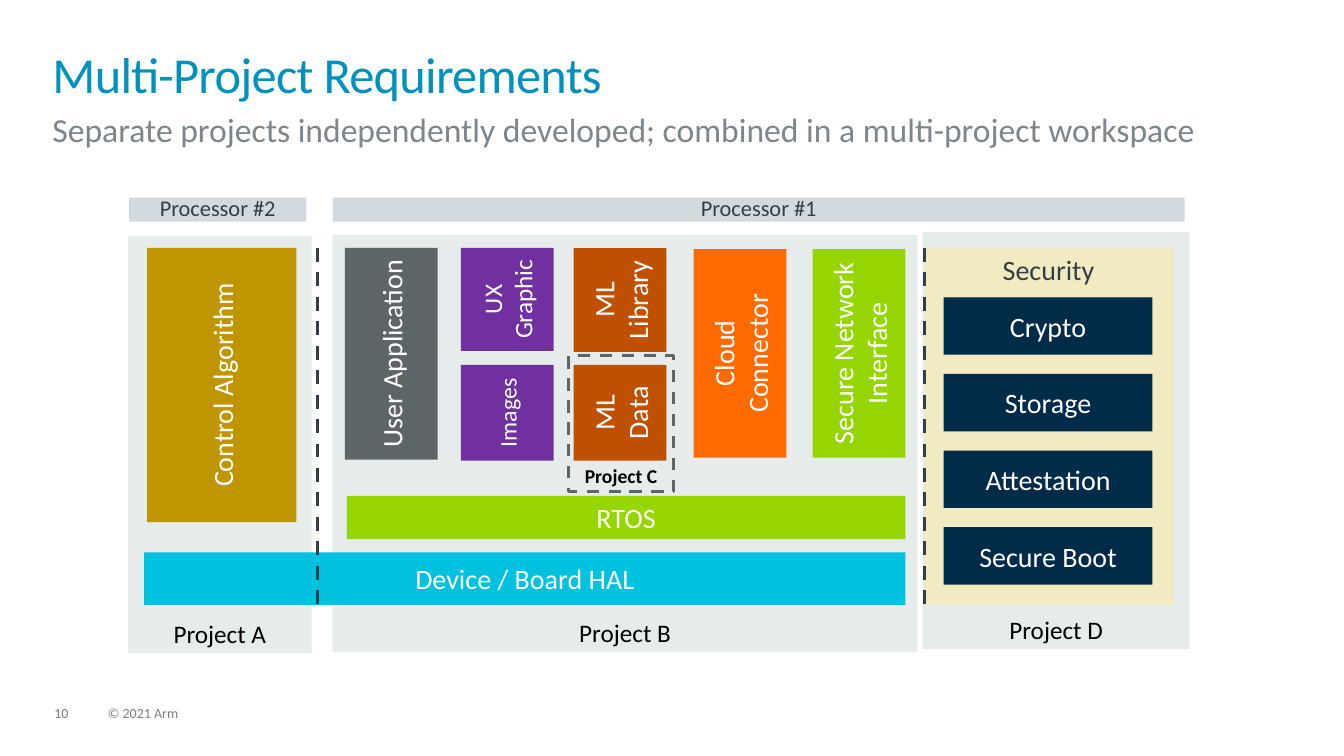
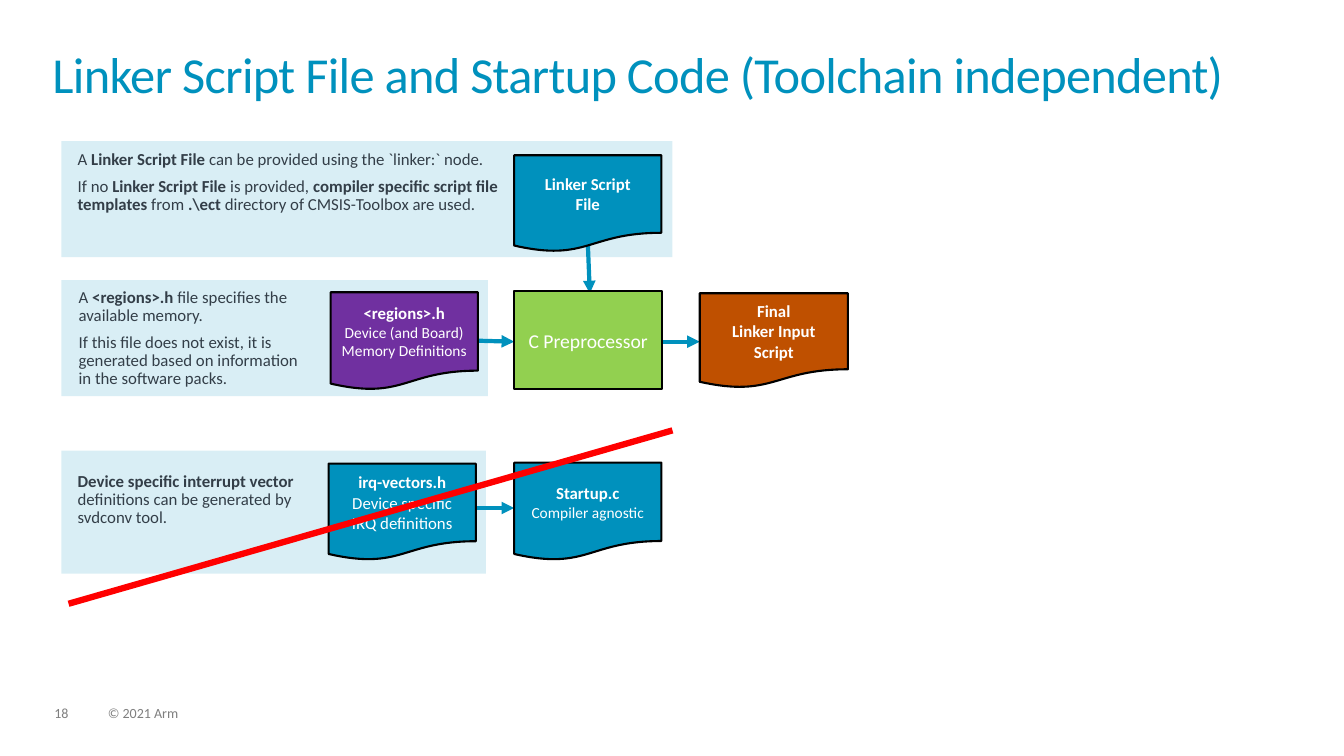
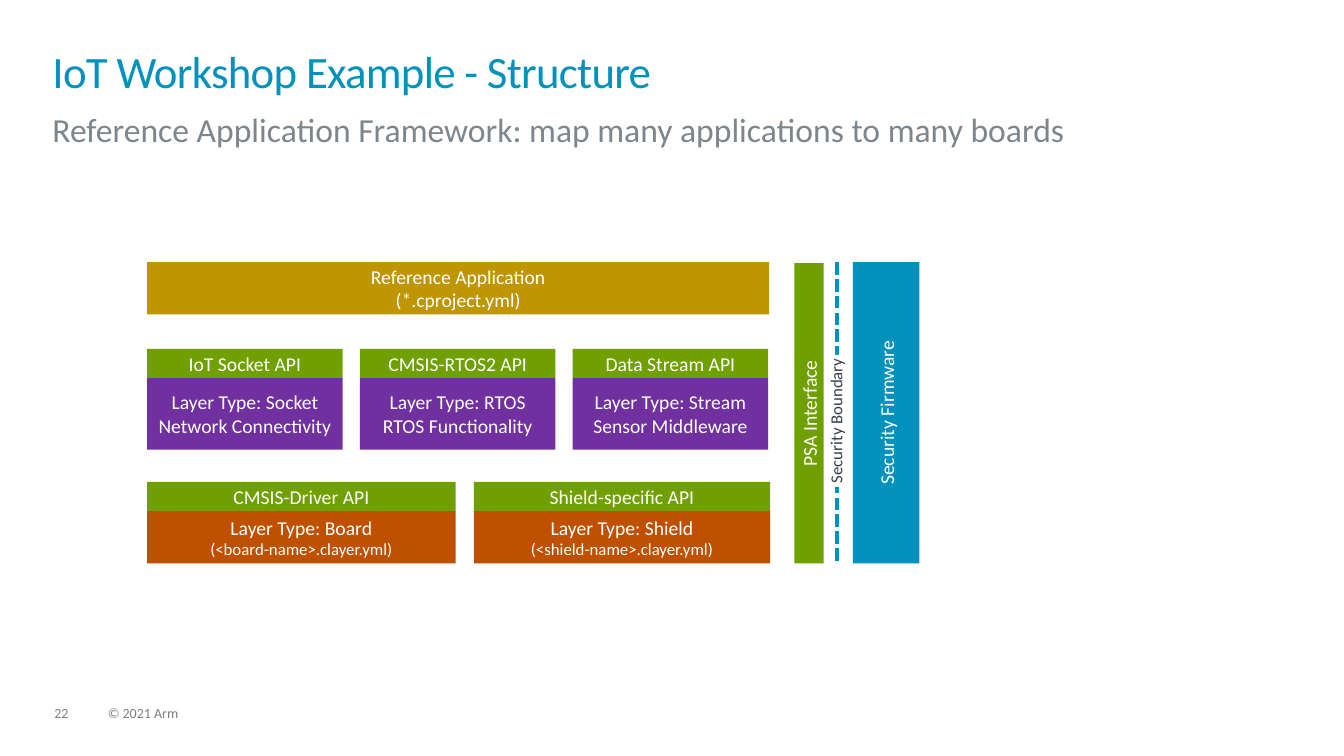
from lxml import etree
from pptx import Presentation
from pptx import util as u
from pptx.dml.color import RGBColor
from pptx.enum import dml, shapes, text
from pptx.oxml.ns import qn

FONT = "Calibri"
WHITE = RGBColor(0xFF, 0xFF, 0xFF)
BLACK = RGBColor(0x00, 0x00, 0x00)
BLUE = RGBColor(0x00, 0x91, 0xBD)
CYAN = RGBColor(0x00, 0xC1, 0xDE)
NAVY = RGBColor(0x00, 0x2B, 0x49)
SLATE = RGBColor(0x33, 0x3E, 0x48)
GREY = RGBColor(0x5D, 0x65, 0x69)
SUBTITLE_GREY = RGBColor(0x7D, 0x86, 0x8C)
FOOTER_GREY = RGBColor(0x7F, 0x7F, 0x7F)
PANEL = RGBColor(0xE5, 0xEC, 0xEB)
BAND = RGBColor(0xD2, 0xD9, 0xDF)
SAND = RGBColor(0xFF, 0xE9, 0x99)
GOLD = RGBColor(0xBF, 0x95, 0x00)
ORANGE = RGBColor(0xFF, 0x6B, 0x00)
RUST = RGBColor(0xBF, 0x50, 0x00)
PURPLE = RGBColor(0x70, 0x30, 0xA0)
LIME = RGBColor(0x95, 0xD6, 0x00)
GREEN = RGBColor(0x92, 0xD0, 0x50)
OLIVE = RGBColor(0x70, 0xA0, 0x00)
RED = RGBColor(0xFF, 0x00, 0x00)

RECTANGLE = shapes.MSO_SHAPE.RECTANGLE
DOCUMENT = shapes.MSO_SHAPE.FLOWCHART_DOCUMENT
TOP = text.MSO_ANCHOR.TOP
MIDDLE = text.MSO_ANCHOR.MIDDLE
BOTTOM = text.MSO_ANCHOR.BOTTOM
LEFT = text.PP_ALIGN.LEFT
CENTER = text.PP_ALIGN.CENTER
DASH = dml.MSO_LINE.DASH
SHORT_DASH = dml.MSO_LINE.SQUARE_DOT

LABEL = dict(anchor=TOP, inset=(0, 0), line_spacing=0.9, space_after=6, color=SLATE)


def bold(words):
    """Return a bold run."""
    return words, {"bold": True}


def sized(words, size):
    """Return a run with its own size."""
    return words, {"size": size}


def write(shape, paragraphs, size=12, color=WHITE, bold=False, align=CENTER,
          anchor=MIDDLE, inset=(0.1, 0.05), line_spacing=None, space_after=None,
          tracking=None):
    """Fill a shape with paragraphs, each a string or a tuple of runs."""
    frame = shape.text_frame
    frame.word_wrap = True
    frame.vertical_anchor = anchor
    frame.margin_left = frame.margin_right = u.Inches(inset[0])
    frame.margin_top = frame.margin_bottom = u.Inches(inset[1])
    if isinstance(paragraphs, str):
        paragraphs = [paragraphs]
    for index, runs in enumerate(paragraphs):
        paragraph = frame.paragraphs[0] if index == 0 else frame.add_paragraph()
        paragraph.alignment = align
        if line_spacing:
            paragraph.line_spacing = line_spacing
        if space_after:
            paragraph.space_after = u.Pt(space_after)
        for item in (runs,) if isinstance(runs, str) else runs:
            words, changes = (item, {}) if isinstance(item, str) else item
            for row, line in enumerate(words.split("\n")):
                if row:
                    paragraph.add_line_break()
                if not line:
                    continue
                run = paragraph.add_run()
                run.text = line
                run.font.name = FONT
                run.font.size = u.Pt(changes.get("size", size))
                run.font.bold = changes.get("bold", bold)
                run.font.color.rgb = color
                if tracking:
                    run.font._element.set("spc", str(int(tracking * 100)))


class Deck:
    """Hold the shared style and the current slide."""

    def __init__(self):
        """Start an empty widescreen presentation."""
        self.presentation = Presentation()
        self.presentation.slide_width = u.Inches(13.33)
        self.presentation.slide_height = u.Inches(7.5)
        self.slide = None

    def start(self, number, title, subtitle=None, title_size=36):
        """Add a slide with its title, subtitle and footer."""
        layout = self.presentation.slide_layouts[6]
        self.slide = self.presentation.slides.add_slide(layout)
        self.label(0.52, 0.52, 12.28, 0.56, title, size=title_size, color=BLUE,
                   line_spacing=0.85, space_after=None, tracking=-0.5)
        if subtitle:
            self.label(0.52, 1.08, 12.28, 0.38, subtitle, size=24,
                       color=SUBTITLE_GREY, line_spacing=None, space_after=None)
        for left, width, words in ((0.54, 0.34, str(number)), (1.07, 5.07, "© 2021 Arm")):
            self.label(left, 7.01, width, 0.15, words, size=10, color=FOOTER_GREY)

    def label(self, left, top, width, height, paragraphs, **style):
        """Add a text box without insets."""
        box = self.slide.shapes.add_textbox(*map(u.Inches, (left, top, width, height)))
        write(box, paragraphs, **{**LABEL, "align": LEFT, **style})

    def box(self, left, top, width, height, fill=None, paragraphs=None,
            kind=RECTANGLE, opacity=None, outline=None, outline_width=1.5,
            dash=None, upright=False, **style):
        """Add a shape; upright text reads from bottom to top."""
        if upright:
            shift = (height - width) / 2
            left, top, width, height = left - shift, top + shift, height, width
        shape = self.slide.shapes.add_shape(
            kind, *map(u.Inches, (left, top, width, height)))
        shape.shadow.inherit = False
        shape.rotation = 270 if upright else 0
        if fill is None:
            shape.fill.background()
        else:
            shape.fill.solid()
            shape.fill.fore_color.rgb = fill
        if opacity:
            color = shape._element.spPr.find(qn("a:solidFill")).find(qn("a:srgbClr"))
            etree.SubElement(color, qn("a:alpha")).set("val", str(opacity * 1000))
        if outline is None:
            shape.line.fill.background()
        else:
            shape.line.color.rgb = outline
            shape.line.width = u.Pt(outline_width)
            if dash:
                shape.line.dash_style = dash
        if paragraphs:
            write(shape, paragraphs, **style)

    def document(self, left, top, width, height, fill, paragraphs):
        """Add an outlined document symbol."""
        self.box(left, top, width, height, fill, paragraphs, kind=DOCUMENT, outline=BLACK)

    def line(self, start, end, color=BLUE, width=3, dash=None, arrow=False):
        """Add a straight line, with an arrowhead if asked."""
        connector = self.slide.shapes.add_connector(
            shapes.MSO_CONNECTOR.STRAIGHT, *map(u.Inches, (*start, *end)))
        connector.line.color.rgb = color
        connector.line.width = u.Pt(width)
        if dash:
            connector.line.dash_style = dash
        properties = connector._element.spPr
        if arrow:
            outline = properties.find(qn("a:ln"))
            etree.SubElement(outline, qn("a:tailEnd")).set("type", "triangle")
        etree.SubElement(properties, qn("a:effectLst"))


def multi_project(deck):
    """Build the multi-project diagram."""
    deck.start(10, "Multi-Project Requirements",
               "Separate projects independently developed; combined in a multi-project workspace")
    for left, top, width, name in ((9.15, 2.3, 2.65, "Project D"),
                                   (3.3, 2.33, 5.8, "Project B"),
                                   (1.27, 2.34, 1.82, "Project A")):
        deck.box(left, top, width, 4.14, PANEL, name, size=18, color=BLACK, anchor=BOTTOM)

    deck.box(9.17, 2.46, 2.47, 3.54, SAND, opacity=50)
    deck.label(9.38, 2.54, 2.04, 0.3, "Security", size=20, align=CENTER)
    for row, name in enumerate(("Crypto", "Storage", "Attestation", "Secure Boot")):
        deck.box(9.36, 2.95 + 0.76 * row, 2.07, 0.57, NAVY, name, size=20)

    deck.box(1.43, 5.48, 7.55, 0.52, CYAN, "Device / Board HAL", size=20)
    deck.box(3.44, 4.92, 5.54, 0.43, LIME, "RTOS", size=20)
    for left in (3.15, 9.17):
        deck.line((left, 2.46), (left, 6), SLATE, 2.5, DASH)

    deck.box(1.46, 2.46, 1.48, 2.72, GOLD, "Control Algorithm", upright=True, size=20)
    for left, top, height, fill, paragraphs, size in (
            (3.42, 2.46, 2.1, GREY, "User Application", 20),
            (4.57, 2.46, 1.02, PURPLE, "UX\nGraphic", 18),
            (4.57, 3.62, 0.95, PURPLE, "Images", 17),
            (5.69, 2.46, 1.03, RUST, "ML\nLibrary", 20),
            (5.69, 3.62, 0.95, RUST, "ML\nData", 20),
            (6.88, 2.47, 2.07, ORANGE, ["Cloud", "Connector"], 20),
            (8.06, 2.47, 2.07, LIME, ["Secure Network", "Interface"], 20)):
        deck.box(left, top, 0.92, height, fill, paragraphs, upright=True,
                 size=size, inset=(0.04, 0.05))

    for left, width, name in ((3.3, 8.45, "Processor #1"), (1.28, 1.76, "Processor #2")):
        deck.box(left, 1.96, width, 0.24, BAND, name, size=16, **LABEL)
    deck.box(5.64, 3.53, 1.04, 1.35, None, "Project C", outline=GREY, outline_width=2.25,
             dash=DASH, size=14, color=BLACK, bold=True, anchor=BOTTOM)


def linker_script(deck):
    """Build the linker script and startup code diagram."""
    deck.start(18, "Linker Script File and Startup Code (Toolchain independent)")
    for top, width, height in ((1.4, 6.06, 1.15), (2.78, 4.23, 1.15), (4.47, 4.21, 1.22)):
        deck.box(0.61, top, width, height, BLUE, opacity=15)

    deck.label(0.77, 1.5, 4.28, 0.63, [
        ("A ", bold("Linker Script File"), " can be provided using the `linker:` node."),
        ("If no ", bold("Linker Script File"), " is provided, ",
         bold("compiler specific script file templates"), " from ", bold(".\\ect"),
         " directory of CMSIS-Toolbox are used.")])
    deck.label(0.78, 2.87, 2.38, 1.26, [
        ("A ", bold("<regions>.h"), " file specifies the available memory."),
        "If this file does not exist, it is generated based on information\n"
        "in the software packs."])
    deck.label(0.77, 4.69, 2.28, 0.55, [
        (bold("Device specific interrupt vector "),
         "definitions can be generated by\nsvdconv tool.")])

    for start, end in (((6.57, 3.39), (6.94, 3.39)), ((5.83, 2.41), (5.85, 2.91)),
                       ((4.73, 3.38), (5.1, 3.39)), ((4.67, 5.04), (5.1, 5.04))):
        deck.line(start, end, arrow=True)

    deck.document(5.1, 1.54, 1.46, 0.96, BLUE, [(bold("Linker Script\nFile"),)])
    deck.box(5.1, 2.89, 1.47, 0.97, GREEN, "C Preprocessor", outline=BLACK, size=14)
    deck.document(6.94, 2.91, 1.47, 0.94, RUST, [(bold("Final\nLinker Input\nScript"),)])
    deck.document(5.1, 4.59, 1.46, 0.97, BLUE,
                  [(bold("Startup.c\n"), sized("Compiler agnostic", 11))])
    deck.document(3.28, 2.9, 1.46, 0.97, PURPLE,
                  [(bold("<regions>.h\n"), sized("Device (and Board)\nMemory Definitions", 11))])
    deck.document(3.26, 4.6, 1.46, 0.96, BLUE,
                  [(bold("irq-vectors.h"),), "Device specific\nIRQ definitions"])
    deck.line((0.68, 5.99), (6.67, 4.27), RED, 4.5)


def workshop_structure(deck):
    """Build the layer structure of the workshop example."""
    deck.start(22, "IoT Workshop Example - Structure",
               "Reference Application Framework: map many applications to many boards",
               title_size=32)
    deck.box(1.46, 2.6, 6.17, 0.52, GOLD, "Reference Application\n(*.cproject.yml)", size=14)

    layers = (("IoT Socket API", "Layer Type: Socket\nNetwork Connectivity"),
              ("CMSIS-RTOS2 API", "Layer Type: RTOS\nRTOS Functionality"),
              ("Data Stream API", "Layer Type: Stream\nSensor Middleware"))
    for column, (interface, layer) in enumerate(layers):
        left = 1.46 + 2.11 * column
        deck.box(left, 3.46, 1.94, 0.29, OLIVE, interface, size=14)
        deck.box(left, 3.75, 1.94, 0.71, PURPLE, layer, size=14)

    for left, width, interface, layer, file_name in (
            (1.46, 3.06, "CMSIS-Driver API", "Board", "board-name"),
            (4.7, 2.94, "Shield-specific API", "Shield", "shield-name")):
        deck.box(left, 4.78, width, 0.29, OLIVE, interface, size=14)
        deck.box(left, 5.07, width, 0.52, RUST,
                 [(f"Layer Type: {layer}\n", sized(f"(<{file_name}>.clayer.yml)", 12))],
                 size=14)

    deck.box(7.88, 2.61, 0.29, 2.98, OLIVE, "PSA Interface", upright=True, size=14)
    deck.box(8.46, 2.6, 0.66, 2.99, BLUE, "Security Firmware", upright=True, size=14)
    deck.line((8.3, 2.6), (8.3, 5.59), dash=SHORT_DASH)
    deck.box(8.21, 3.52, 0.18, 1.31, WHITE, "Security Boundary", upright=True, **LABEL)


def main():
    """Build and save the presentation."""
    deck = Deck()
    multi_project(deck)
    linker_script(deck)
    workshop_structure(deck)
    deck.presentation.save("out.pptx")


if __name__ == "__main__":
    main()
